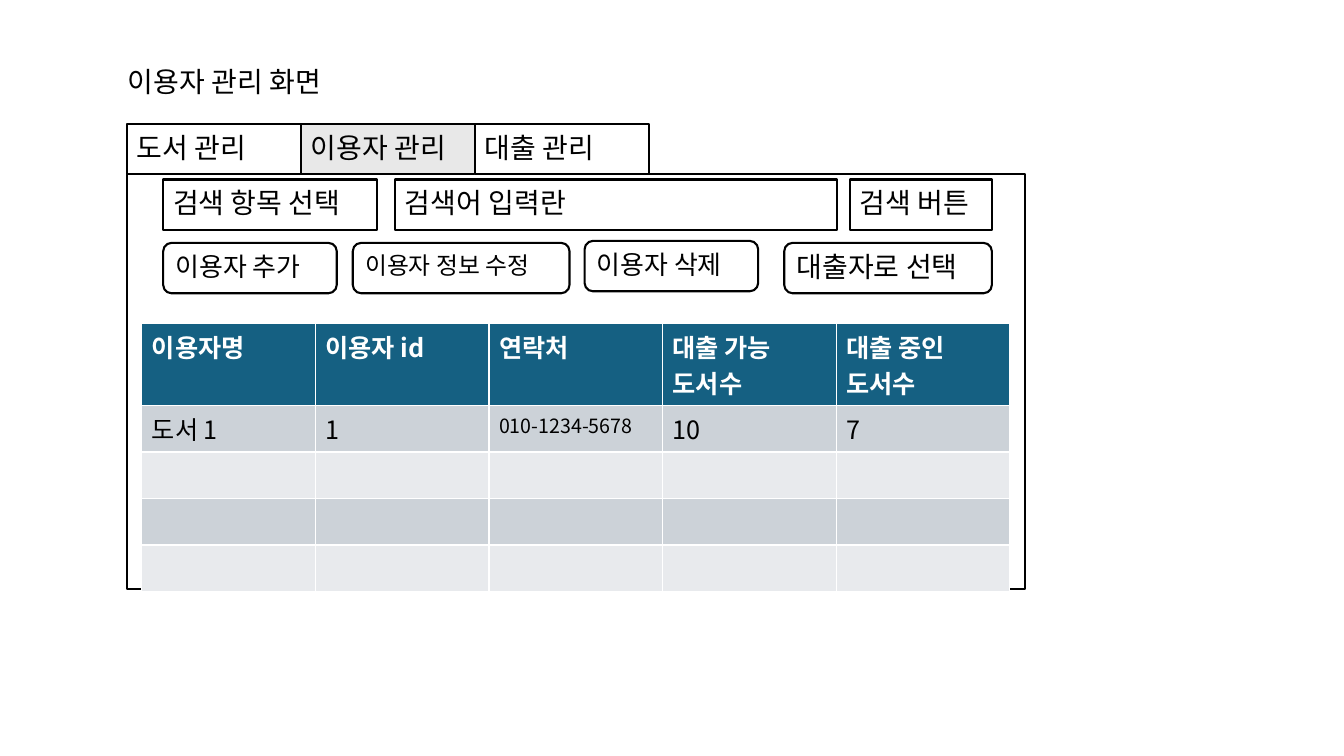
from dataclasses import dataclass

import lxml.etree
import pptx
import pptx.dml.color
import pptx.enum.shapes
import pptx.enum.text
import pptx.oxml.ns
import pptx.util

Pt = pptx.util.Pt
Kind = pptx.enum.shapes.MSO_SHAPE


@dataclass(frozen=True)
class Theme:
    font: str = "Noto Sans CJK KR"
    ink: str = "000000"
    paper: str = "FFFFFF"
    active_tab: str = "E8E8E8"
    header: str = "156082"
    bands: tuple[str, str] = ("CCD2D8", "E8EAED")
    body: float = 20
    button: float = 18.5
    small_button: float = 17
    cell: float = 18
    phone: float = 14
    outline: float = 1.5


THEME = Theme()


@dataclass(frozen=True)
class Box:
    text: str
    left: float
    top: float
    width: float
    height: float = 36
    kind: Kind = Kind.RECTANGLE
    fill: str = THEME.paper
    size: float = THEME.body
    spacing: float = 0.9


def color(value: str) -> pptx.dml.color.RGBColor:
    return pptx.dml.color.RGBColor.from_string(value)


def format_text(frame, size: float, ink: str = THEME.ink, bold: bool = False) -> None:
    for para in frame.paragraphs:
        para.alignment = pptx.enum.text.PP_ALIGN.LEFT
        para.font.size = Pt(size)
        for span in para.runs:
            span.font.size = Pt(size)
            span.font.bold = bold
            span.font.name = THEME.font
            span.font.color.rgb = color(ink)
            # East Asian glyphs take their typeface from a separate element
            latin = span.font._element.find(pptx.oxml.ns.qn("a:latin"))
            east_asian = lxml.etree.Element(pptx.oxml.ns.qn("a:ea"), typeface=THEME.font)
            latin.addnext(east_asian)


def fill_frame(frame, box: Box) -> None:
    frame.text = box.text
    frame.word_wrap = True
    frame.vertical_anchor = pptx.enum.text.MSO_ANCHOR.MIDDLE
    frame.paragraphs[0].line_spacing = box.spacing
    format_text(frame, box.size)


def draw_title(page, box: Box) -> None:
    title = page.shapes.add_textbox(Pt(box.left), Pt(box.top), Pt(box.width), Pt(box.height))
    fill_frame(title.text_frame, box)


def draw_box(page, box: Box) -> None:
    shape = page.shapes.add_shape(
        box.kind, Pt(box.left), Pt(box.top), Pt(box.width), Pt(box.height))
    shape.shadow.inherit = False
    shape.fill.solid()
    shape.fill.fore_color.rgb = color(box.fill)
    shape.line.color.rgb = color(THEME.ink)
    shape.line.width = Pt(THEME.outline)
    if box.text:
        fill_frame(shape.text_frame, box)


def draw_table(page, rows: list[list[str]], left: float, top: float,
               column_width: float, header_height: float, row_height: float) -> None:
    columns = len(rows[0])
    height = header_height + row_height * (len(rows) - 1)
    table = page.shapes.add_table(
        len(rows), columns, Pt(left), Pt(top), Pt(column_width * columns), Pt(height)).table
    for column in table.columns:
        column.width = Pt(column_width)
    for index, texts in enumerate(rows):
        is_header = index == 0
        table.rows[index].height = Pt(header_height if is_header else row_height)
        fill = THEME.header if is_header else THEME.bands[(index - 1) % 2]
        ink = THEME.paper if is_header else THEME.ink
        for cell, text in zip(table.rows[index].cells, texts):
            cell.fill.solid()
            cell.fill.fore_color.rgb = color(fill)
            cell.text_frame.paragraphs[0].text = text
            size = THEME.phone if "-" in text else THEME.cell
            format_text(cell.text_frame, size, ink, is_header)


TAB_LEFT, TAB_TOP, TAB_WIDTH = 90.7, 88.6, 124.2
TABS = ["도서 관리", "이용자 관리", "대출 관리"]
ACTIVE_TAB = "이용자 관리"
SEARCH_TOP, BUTTON_TOP = 128.2, 173.5
ROUND = Kind.ROUNDED_RECTANGLE

TITLE = Box("이용자 관리 화면", 84.2, 41.8, 174.2)
WINDOW = Box("", TAB_LEFT, TAB_TOP + 36, 641.5, 296)
SEARCH_BAR = [
    Box("검색 항목 선택", 116.6, SEARCH_TOP, 152.6),
    Box("검색어 입력란", 282.2, SEARCH_TOP, 315.4),
    Box("검색 버튼", 607, SEARCH_TOP, 101.5),
]
BUTTONS = [
    Box("이용자 추가", 116.6, BUTTON_TOP, 124, kind=ROUND, size=THEME.button),
    Box("이용자 정보 수정", 252, BUTTON_TOP, 154.8, kind=ROUND,
        size=THEME.small_button, spacing=0.8),
    Box("이용자 삭제", 417.6, BUTTON_TOP - 1.4, 124, kind=ROUND, size=THEME.button),
    Box("대출자로 선택", 560.2, BUTTON_TOP, 148.3, kind=ROUND),
]
USERS = [
    ["이용자명", "이용자 id", "연락처", "대출 가능 \n도서수", "대출 중인 \n도서수"],
    ["도서 1", "1", "010-1234-5678", "10", "7"],
    *[[""] * 5 for _ in range(3)],
]


def main() -> None:
    deck = pptx.Presentation()
    deck.slide_width, deck.slide_height = Pt(960), Pt(540)
    page = deck.slides.add_slide(deck.slide_layouts[6])

    # Title and window frame
    draw_title(page, TITLE)
    draw_box(page, WINDOW)

    # Tabs
    for index, label in enumerate(TABS):
        fill = THEME.active_tab if label == ACTIVE_TAB else THEME.paper
        draw_box(page, Box(label, TAB_LEFT + index * TAB_WIDTH, TAB_TOP, TAB_WIDTH, fill=fill))

    # Action buttons and search bar
    for box in BUTTONS + SEARCH_BAR:
        draw_box(page, box)

    # User list
    draw_table(page, USERS, left=101.3, top=230.7, column_width=124,
               header_height=59, row_height=33.2)

    deck.save("out.pptx")


if __name__ == "__main__":
    main()
